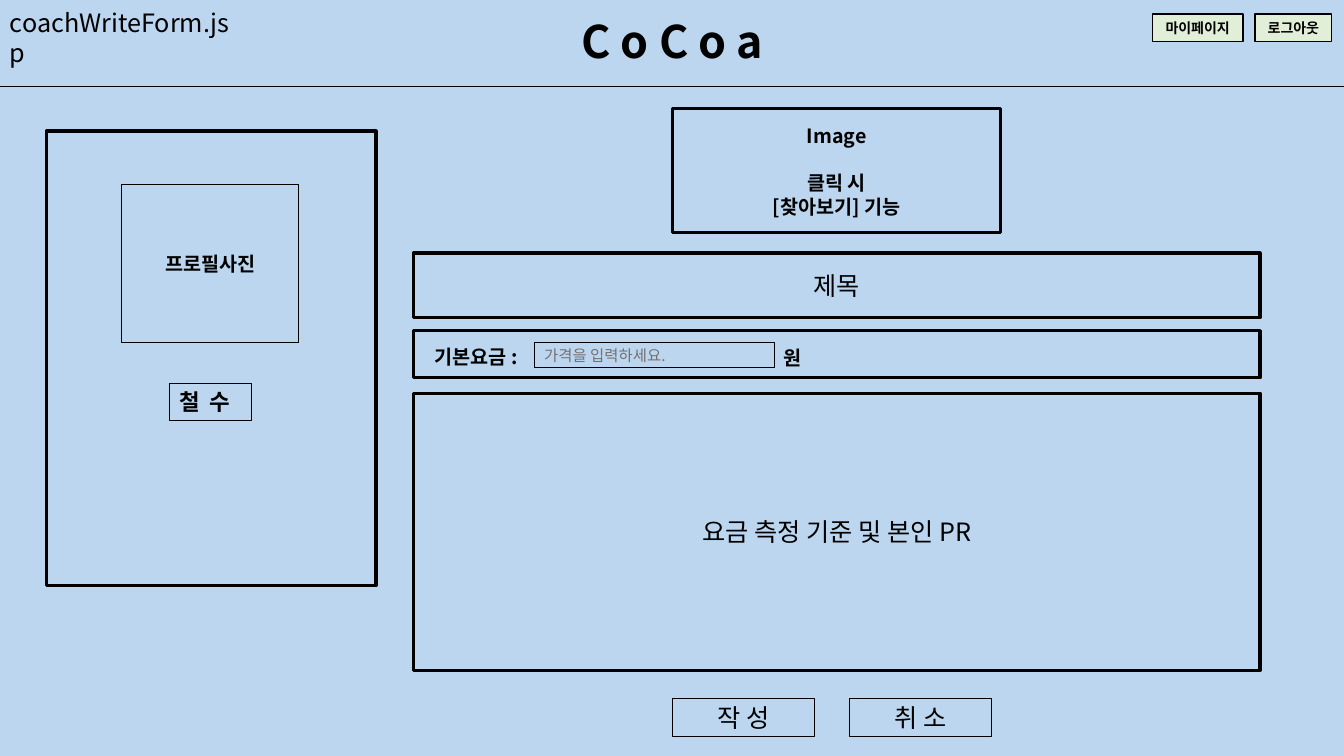
from pptx import Presentation
from pptx import util as u
from pptx.dml.color import RGBColor
from pptx.enum import shapes, text
from pptx.oxml.ns import qn
from lxml import etree

FONT = "Noto Sans CJK KR"
INK, HINT, SKY, MINT = "000000", "757070", "BBD6EE", "E1EFD8"
THIN, BUTTON, THICK = 0.75, 1, 2.25
WIDTH, HEIGHT = u.Inches(13.33), u.Inches(7.5)
LEFT, CENTER = text.PP_ALIGN.LEFT, text.PP_ALIGN.CENTER
TOP, MIDDLE = text.MSO_ANCHOR.TOP, text.MSO_ANCHOR.MIDDLE

# Shared areas, in percent of the slide's width and height
FORM_X, FORM_W = 30.75, 63
ACTION_X, ACTION_PITCH = 50.03, 13.2


def color(value):
    return RGBColor.from_string(value)


def place(x, y, w, h):
    """Turn percentages of the slide into lengths."""
    return [int(share * side / 100)
            for share, side in zip((x, y, w, h), (WIDTH, HEIGHT) * 2)]


def write(s, lines, size, bold=False, ink=INK, align=CENTER, anchor=MIDDLE,
          grow=False, gaps=(), spacing=0):
    """Fill a shape with lines; gaps holds the space before each line."""
    tf = s.text_frame
    fit = text.MSO_AUTO_SIZE.SHAPE_TO_FIT_TEXT if grow else text.MSO_AUTO_SIZE.NONE
    frame = {"word_wrap": True, "vertical_anchor": anchor, "auto_size": fit}
    for name, value in frame.items():
        setattr(tf, name, value)
    for i, line in enumerate(lines.split("\n")):
        p = tf.add_paragraph() if i else tf.paragraphs[0]
        p.alignment = align
        if i < len(gaps) and gaps[i]:
            p.space_before = u.Pt(gaps[i])
        r = p.add_run()
        r.text = line
        for name, value in {"name": FONT, "size": u.Pt(size), "bold": bold}.items():
            setattr(r.font, name, value)
        r.font.color.rgb = color(ink)
        rPr = r._r.get_or_add_rPr()
        etree.SubElement(rPr, qn("a:ea")).set("typeface", FONT)
        if spacing:
            rPr.set("spc", str(spacing))


def label(slide, area, words, size, **style):
    s = slide.shapes.add_textbox(*place(*area))
    write(s, words, size, anchor=TOP, grow=True, **style)


def box(slide, area, weight, words="", size=18, fill=None, **style):
    s = slide.shapes.add_shape(shapes.MSO_SHAPE.RECTANGLE, *place(*area))
    s.shadow.inherit = False
    if fill:
        s.fill.solid()
        s.fill.fore_color.rgb = color(fill)
    else:
        s.fill.background()
    s.line.color.rgb = color(INK)
    s.line.width = u.Pt(weight)
    if words:
        write(s, words, size, **style)


def rule(slide, y):
    """Draw a line across the whole slide."""
    x1, y1, x2, _ = place(0, y, 100, 0)
    c = slide.shapes.add_connector(shapes.MSO_CONNECTOR.STRAIGHT, x1, y1, x2, y1)
    c.line.color.rgb = color(INK)
    c.line.width = u.Pt(THIN)
    etree.SubElement(c._element.spPr, qn("a:effectLst"))


def header(slide):
    rule(slide, 11.4)
    label(slide, (37.88, 1.2, 24.3, 8.53), "C o C o a", 32, bold=True)
    label(slide, (0, 0.27, 18.6, 5.33), "coachWriteForm.jsp", 18, align=LEFT)
    for x, w, words in ((85.73, 6.75, "마이페이지"), (93.38, 5.7, "로그아웃")):
        box(slide, (x, 1.87, w, 3.6), BUTTON, words, 10, fill=MINT,
            bold=True, anchor=TOP, grow=True)


def profile(slide):
    box(slide, (3.45, 17.33, 24.53, 60.13), THICK)
    box(slide, (9.08, 24.4, 13.13, 20.93), THIN, "프로필사진", 14, bold=True)
    box(slide, (12.6, 50.67, 6.08, 4.93), THIN, "철 수", 16, bold=True,
        align=LEFT, anchor=TOP, grow=True, spacing=180)


def form(slide):
    box(slide, (50.03, 14.4, 24.45, 16.4), THICK,
        "Image\n클릭 시\n[찾아보기] 기능", 14, bold=True, gaps=(0, 17))

    # Title, fee and introduction rows
    for y, h, words in ((33.47, 8.53, "제목"), (43.73, 6.27, ""),
                        (52, 36.67, "요금 측정 기준 및 본인 PR")):
        box(slide, (FORM_X, y, FORM_W, h), THICK, words)

    # Fee field
    label(slide, (31.58, 44.93, 8.25, 4.53), "기본요금 :", 14, bold=True, align=LEFT)
    box(slide, (39.75, 45.33, 17.85, 3.33), THIN, "가격을 입력하세요.", 11,
        ink=HINT, align=LEFT)
    label(slide, (57.53, 45.07, 2.85, 4.53), "원", 14, bold=True, align=LEFT)

    # Action buttons
    for i, words in enumerate(("작 성", "취 소")):
        box(slide, (ACTION_X + i * ACTION_PITCH, 92.4, 10.58, 5.07), THIN, words)


def main():
    prs = Presentation()
    prs.slide_width, prs.slide_height = WIDTH, HEIGHT
    slide = prs.slides.add_slide(prs.slide_layouts[6])
    slide.background.fill.solid()
    slide.background.fill.fore_color.rgb = color(SKY)
    header(slide)
    profile(slide)
    form(slide)
    prs.save("out.pptx")


if __name__ == "__main__":
    main()
